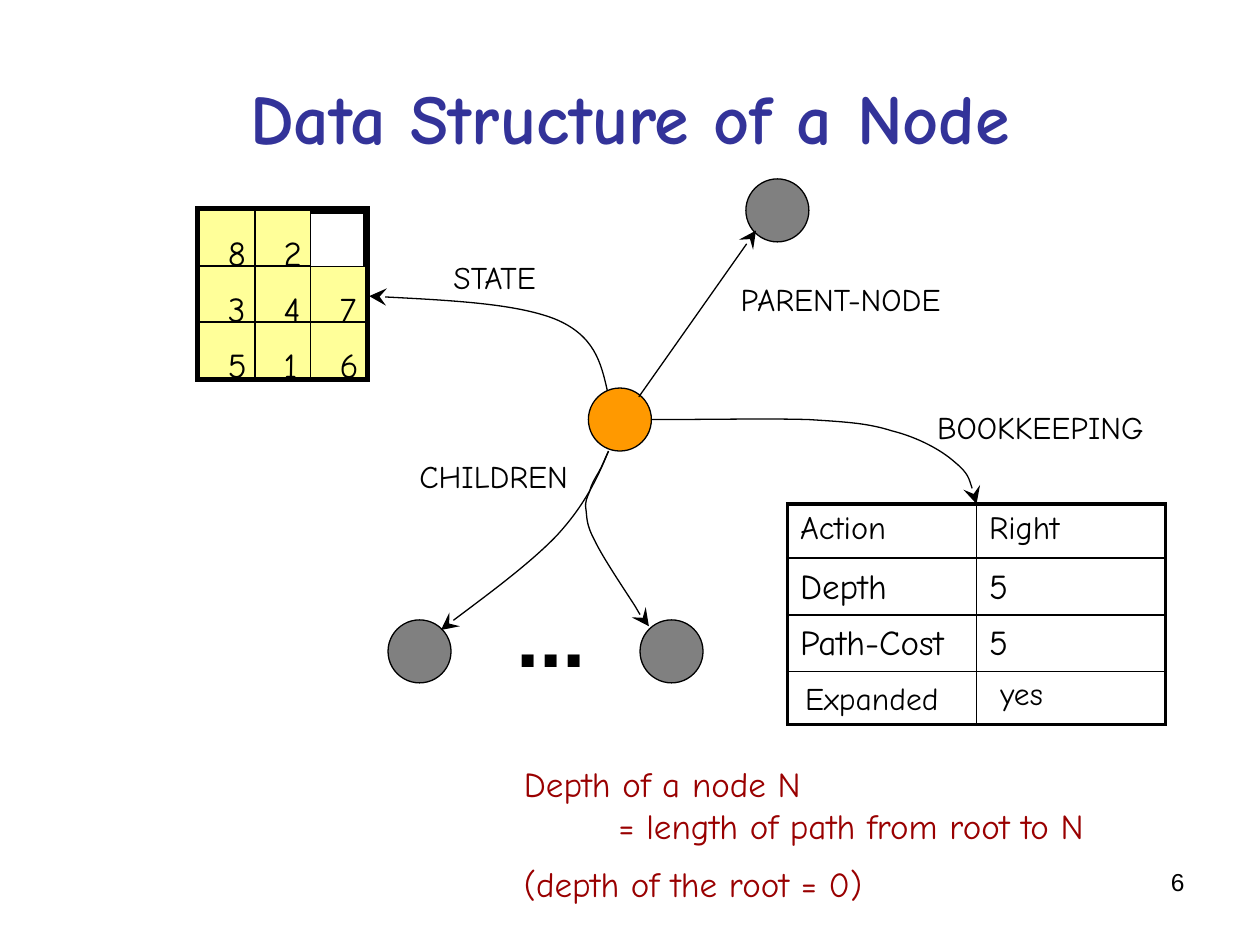
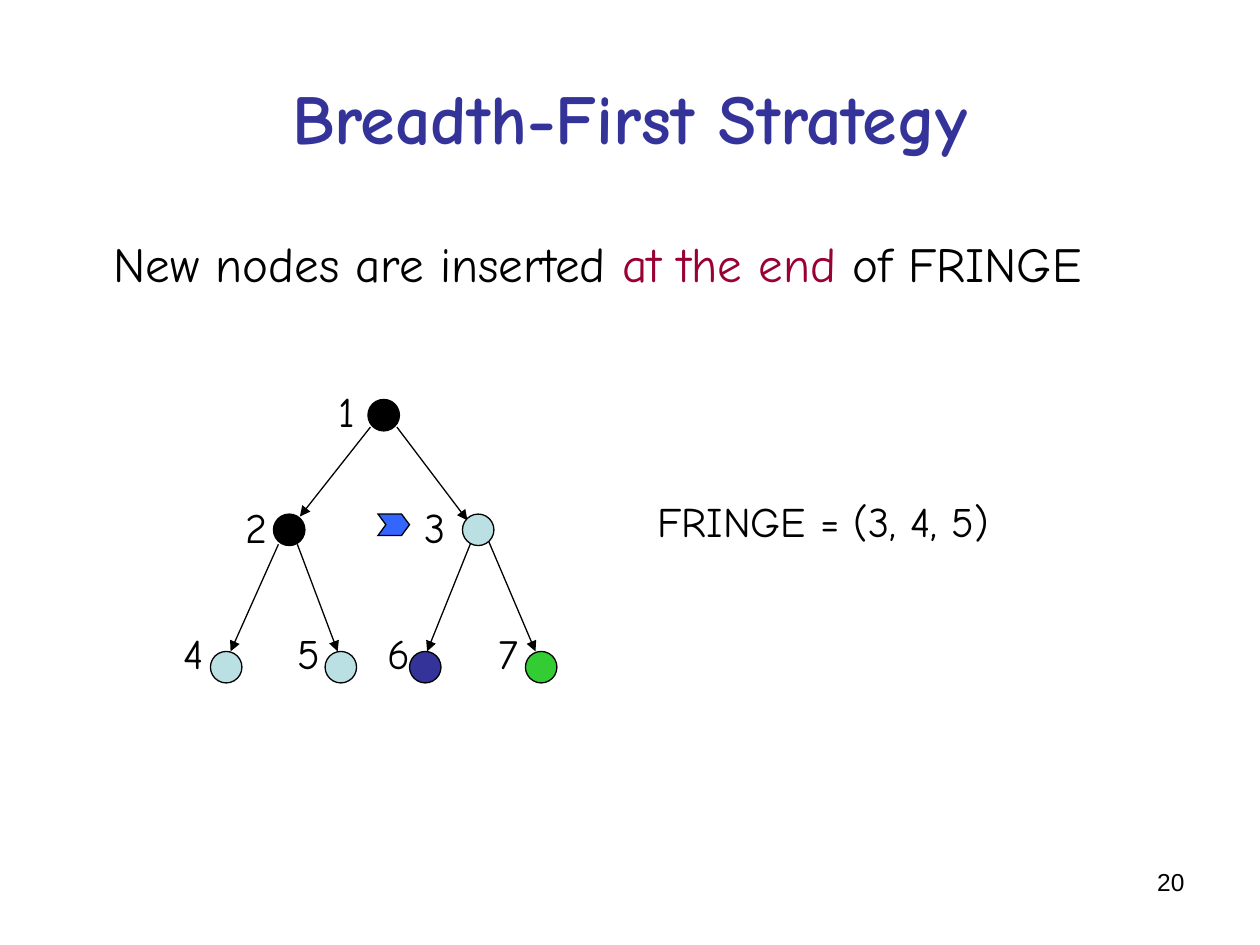
from lxml.etree import SubElement
from pptx import Presentation
from pptx.dml.color import RGBColor
from pptx.enum.shapes import MSO_CONNECTOR as Connector, MSO_SHAPE as Shape
from pptx.enum.text import MSO_ANCHOR as Anchor, MSO_AUTO_SIZE as AutoSize, PP_ALIGN as Align
from pptx.oxml import parse_xml
from pptx.oxml.ns import nsdecls, qn
from pptx.util import Inches, Pt

COLORS = {
    "title": "333399", "ink": "000000", "node": "FF9900", "relative": "808080",
    "tile": "FFFF99", "note": "990000", "accent": "990033", "pale": "BBE0E3",
    "navy": "333399", "goal": "33CC33", "pointer": "3366FF",
}
HAND, PLAIN = "Comic Neue", "Arial"
WIDTH, HEIGHT = 10, 7.5

PUZZLE = ["82 ", "347", "516"]
PUZZLE_LEFT, PUZZLE_TOP, TILE = 1.58, 1.67, 0.44
FIELD_LABELS = [
    ("PARENT-NODE", 5.78, 2.17, 1.81), ("STATE", 3.5, 2, 0.89),
    ("BOOKKEEPING", 7.34, 3.19, 1.84), ("CHILDREN", 3.23, 3.58, 1.38),
]
CIRCLES = [
    (4.67, 3.08, "node"), (5.92, 1.42, "relative"),
    (3.08, 4.92, "relative"), (5.08, 4.92, "relative"),
]
PARENT_LINK = (5.07, 3.15), (6, 1.83)
CURVES = [
    [(4.82, 3.1), (4.77, 2.88), (4.72, 2.66), (4.4, 2.53),
     (4.09, 2.41), (3.51, 2.38), (2.93, 2.35)],
    [(5.17, 3.33), (5.63, 3.33), (6.1, 3.32), (6.42, 3.33), (6.74, 3.35),
     (6.89, 3.36), (7.08, 3.42), (7.28, 3.47), (7.47, 3.57), (7.58, 3.67),
     (7.69, 3.76), (7.72, 3.88), (7.75, 4)],
    [(4.83, 3.58), (4.74, 3.8), (4.64, 4.01), (4.42, 4.25),
     (4.19, 4.49), (3.65, 4.88), (3.5, 5)],
    [(4.83, 3.58), (4.8, 3.64), (4.78, 3.7), (4.75, 3.75), (4.72, 3.8),
     (4.69, 3.85), (4.68, 3.9), (4.66, 3.95), (4.64, 3.98), (4.65, 4.04),
     (4.66, 4.11), (4.65, 4.16), (4.72, 4.29), (4.78, 4.42), (4.97, 4.7),
     (5.04, 4.81), (5.11, 4.93), (5.13, 4.95), (5.15, 4.97)],
]
BOOKKEEPING = [
    (0.43, 18.5, [("Action", 0.1, -0.02), ("Right", 0.1, -0.02)]),
    (0.45, 20, [("Depth", 0.1, 0.01), ("5", 0.1, 0.01)]),
    (0.45, 20, [("Path-Cost", 0.1, 0.01), ("5", 0.1, 0.01)]),
    (0.42, 18, [("Expanded", 0.14, 0.02), ("yes", 0.19, -0.02)]),
]
DEPTH_NOTE = [
    ("Depth of a node N", 0, 0),
    ("= length of path from root to N", 0.75, 0),
    ("(depth of the root = 0)", 0, 9.5),
]

STRATEGY = [
    ("New nodes are inserted ", "ink"), ("at the end", "accent"), (" of FRINGE", "ink"),
]
DOT = 0.25
TREE = {
    "1": (2.92, 3.17, "ink", 2.59, 0.33), "2": (2.17, 4.08, "ink", 1.85, 0.37),
    "3": (3.67, 4.08, "pale", 3.27, 0.37), "4": (1.67, 5.17, "pale", 1.36, 0.36),
    "5": (2.58, 5.17, "pale", 2.26, 0.38), "6": (3.25, 5.17, "navy", 2.98, 0.38),
    "7": (4.17, 5.17, "goal", 3.86, 0.36),
}
LABEL_TOPS = {3.17: 3.01, 4.08: 3.93, 5.17: 4.93}
EDGES = [
    ((2.94, 3.39), (2.38, 4.1)), ((3.15, 3.39), (3.71, 4.13)),
    ((2.21, 4.32), (1.83, 5.17)), ((2.36, 4.32), (2.68, 5.17)),
    ((3.74, 4.3), (3.39, 5.17)), ((3.88, 4.3), (4.25, 5.17)),
]


def rgb(name):
    return RGBColor.from_string(COLORS[name])


def write(para, text, size=18, color="ink", font=HAND, bold=False,
          align=Align.LEFT, indent=0, before=0):
    props = para._p.get_or_add_pPr()
    props.set("marL", str(Inches(indent)))
    props.set("indent", "0")
    if props.find(qn("a:buNone")) is None:
        SubElement(props, qn("a:buNone"))
    para.alignment = align
    para.space_before = Pt(before)
    span = para.add_run()
    span.text = text
    span.font.name, span.font.size, span.font.bold = font, Pt(size), bold
    span.font.color.rgb = rgb(color)


def place(shape, *bounds):
    shape.left, shape.top, shape.width, shape.height = map(Inches, bounds)


def add_label(page, text, left, top, width, height=0.4, **form):
    box = page.shapes.add_textbox(*map(Inches, (left, top, width, height)))
    box.text_frame.word_wrap = False
    box.text_frame.auto_size = AutoSize.SHAPE_TO_FIT_TEXT
    if text:
        write(box.text_frame.paragraphs[0], text, **form)
    return box


def outline(shape, weight=0.75, fill=None):
    shape.shadow.inherit = False
    shape.line.color.rgb = rgb("ink")
    shape.line.width = Pt(weight)
    SubElement(shape.line._get_or_add_ln(), qn("a:miter"), lim="800000")
    if fill:
        shape.fill.solid()
        shape.fill.fore_color.rgb = rgb(fill)
    else:
        shape.fill.background()


def add_figure(page, kind, left, top, width, height, fill=None, weight=0.75):
    figure = page.shapes.add_shape(kind, *map(Inches, (left, top, width, height)))
    outline(figure, weight, fill)
    return figure


def add_head(shape, kind, size):
    SubElement(shape.line._get_or_add_ln(), qn("a:tailEnd"), type=kind, w=size, len=size)


def add_arrow(page, start, end, head, size):
    arrow = page.shapes.add_connector(Connector.STRAIGHT, *map(Inches, start + end))
    arrow.line.color.rgb = rgb("ink")
    arrow.line.width = Pt(0.75)
    add_head(arrow, head, size)
    SubElement(arrow._element.spPr, qn("a:effectLst"))


def add_curve(page, knots):
    start, *rest = [tuple(map(Inches, knot)) for knot in knots]
    builder = page.shapes.build_freeform(*start)
    builder.add_line_segments(rest, close=False)
    curve = builder.convert_to_shape()
    lines = list(curve._element.iter(qn("a:lnTo")))
    outline_path = lines[0].getparent()
    for first in range(0, len(lines), 3):
        bend = SubElement(outline_path, qn("a:cubicBezTo"))
        for line in lines[first:first + 3]:
            bend.append(line[0])
            outline_path.remove(line)
    outline(curve)
    add_head(curve, "stealth", "lg")


def add_page(deck, layout, title, number):
    page = deck.slides.add_slide(deck.slide_layouts[layout])
    place(page.shapes.title, 0.5, 0.3, 9, 1.25)
    frame = page.shapes.title.text_frame
    frame.vertical_anchor = Anchor.MIDDLE
    write(frame.paragraphs[0], title, size=40, color="title", bold=True, align=Align.CENTER)
    footer = add_label(page, number, 7.17, 6.83, 2.33, 0.52,
                       size=14, font=PLAIN, align=Align.RIGHT)
    footer.text_frame.auto_size = AutoSize.NONE
    footer.text_frame.word_wrap = True
    return page


def add_puzzle(page):
    add_figure(page, Shape.RECTANGLE, PUZZLE_LEFT, PUZZLE_TOP, 1.33, 1.33, weight=4.5)
    tiles = [(digit, PUZZLE_LEFT + col * 1.33 / 3, PUZZLE_TOP + row * 1.33 / 3)
             for row, digits in enumerate(PUZZLE)
             for col, digit in enumerate(digits) if digit != " "]
    for digit, left, top in tiles:
        add_figure(page, Shape.RECTANGLE, left, top, TILE, TILE, "tile")
    for digit, left, top in tiles:
        add_label(page, digit, left + 0.13, top + 0.12, 0.34, 0.44, size=20)


def set_borders(cell, weights):
    props = cell._tc.get_or_add_tcPr()
    for index, (side, weight) in enumerate(zip("LRTB", weights)):
        props.insert(index, parse_xml(
            f'<a:ln{side} {nsdecls("a")} w="{Pt(weight)}"><a:solidFill>'
            f'<a:srgbClr val="{COLORS["ink"]}"/></a:solidFill></a:ln{side}>'))


def add_bookkeeping(page):
    rows = len(BOOKKEEPING)
    table = page.shapes.add_table(rows, 2, *map(Inches, (6.25, 4, 3, 1.75))).table
    table.first_row = table.horz_banding = False
    for row, (height, size, texts) in enumerate(BOOKKEEPING):
        table.rows[row].height = Inches(height)
        for col, (text, margin, drop) in enumerate(texts):
            cell = table.cell(row, col)
            cell.fill.background()
            cell.vertical_anchor = Anchor.MIDDLE
            cell.margin_left = Inches(margin)
            cell.margin_top, cell.margin_bottom = Inches(0.03 + drop), Inches(0.03 - drop)
            write(cell.text_frame.paragraphs[0], text, size=size)
            edges = col == 0, col == 1, row == 0, row == rows - 1
            set_borders(cell, [2.25 if edge else 1 for edge in edges])


def build_node_page(deck):
    page = add_page(deck, 5, "Data Structure of a Node", "6")
    for left, top, fill in CIRCLES:
        add_figure(page, Shape.OVAL, left, top, 0.5, 0.5, fill)
    add_puzzle(page)
    add_bookkeeping(page)
    add_arrow(page, *PARENT_LINK, "stealth", "lg")
    for knots in CURVES:
        add_curve(page, knots)
    for label in FIELD_LABELS:
        add_label(page, *label)
    add_label(page, "...", 4, 4.58, 0.78, 0.9, size=48, font=PLAIN, bold=True)
    frame = add_label(page, "", 4.06, 6, 4.75, 1.24).text_frame
    for index, (text, indent, before) in enumerate(DEPTH_NOTE):
        para = frame.add_paragraph() if index else frame.paragraphs[0]
        write(para, text, size=20, color="note", indent=indent, before=before)


def build_strategy_page(deck):
    page = add_page(deck, 1, "Breadth-First Strategy", "20")
    body = page.placeholders[1]
    place(body, 0.5, 1.75, 9, 4.95)
    body.text_frame.margin_top = Inches(0.1)
    for text, color in STRATEGY:
        write(body.text_frame.paragraphs[0], text, size=28, color=color, indent=0.3)
    add_label(page, "FRINGE = (3, 4, 5)", 5.12, 3.88, 2.83, 0.5, size=24)
    pointer = add_figure(page, Shape.CHEVRON, 3, 4.08, 0.25, 0.17, "pointer")
    pointer.adjustments[0] = 0.37
    for start, end in EDGES:
        add_arrow(page, start, end, "triangle", "med")
    for key, (left, top, fill, label_left, label_width) in TREE.items():
        add_figure(page, Shape.OVAL, left, top, DOT, DOT, fill)
        add_label(page, key, label_left, LABEL_TOPS[top], label_width, 0.5, size=24)


def main():
    deck = Presentation()
    deck.slide_width, deck.slide_height = Inches(WIDTH), Inches(HEIGHT)
    build_node_page(deck)
    build_strategy_page(deck)
    deck.save("out.pptx")


if __name__ == "__main__":
    main()
